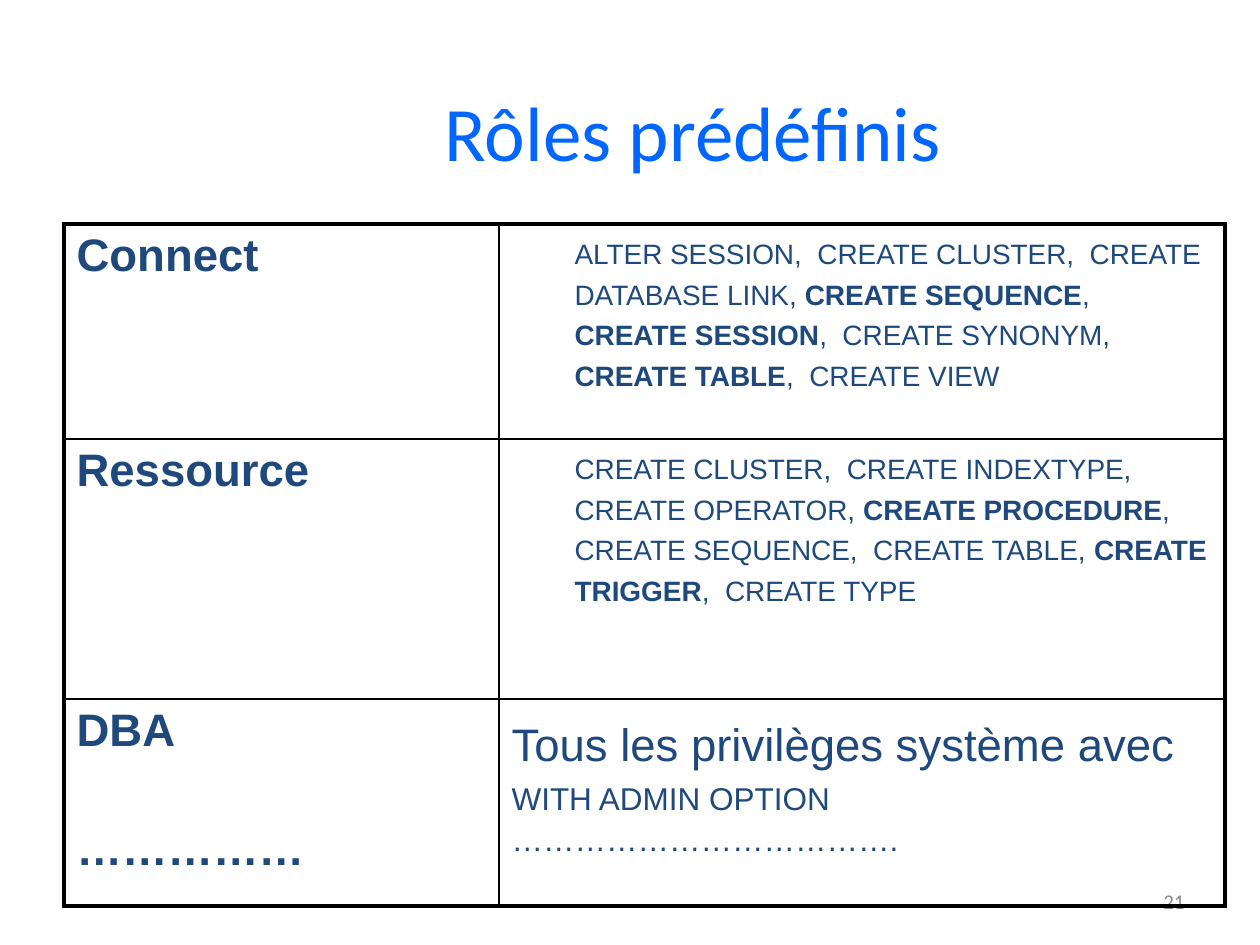
import pptx
import pptx.dml.color
import pptx.enum.text
import pptx.oxml.ns
import pptx.util
from dataclasses import dataclass
from lxml import etree

ALIGN = pptx.enum.text.PP_ALIGN
ANCHOR = pptx.enum.text.MSO_ANCHOR


@dataclass(frozen=True)
class Theme:
    title: str = "0066FF"
    body: str = "1F497D"
    muted: str = "8C8C8C"
    rule: str = "000000"
    heading_font: str = "Calibri"
    body_font: str = "Arial"
    title_size: int = 44
    role_size: int = 26
    option_size: int = 18
    privilege_size: int = 16
    number_size: int = 12
    outer_rule: float = 2.25
    inner_rule: float = 1


THEME = Theme()
COLUMN_WIDTHS = (435, 726)
ROW_HEIGHTS = (215, 260, 207)

# Privileges between asterisks are set in bold.
PRIVILEGES = {
    "Connect": "ALTER SESSION,  CREATE CLUSTER,  CREATE DATABASE LINK, "
               "*CREATE SEQUENCE*,  *CREATE SESSION*,  CREATE SYNONYM, "
               "*CREATE TABLE*,  CREATE VIEW",
    "Ressource": "CREATE CLUSTER,  CREATE INDEXTYPE,  CREATE OPERATOR, "
                 "*CREATE PROCEDURE*,  CREATE SEQUENCE,  CREATE TABLE, "
                 "*CREATE TRIGGER*,  CREATE TYPE",
}


def px(length):
    return pptx.util.Emu(round(length * 914400 / 126))


def add_run(paragraph, text, size, color=THEME.body, font=THEME.body_font, bold=False):
    run = paragraph.add_run()
    run.text = text
    run.font.size = pptx.util.Pt(size)
    run.font.name = font
    run.font.bold = bold
    run.font.color.rgb = pptx.dml.color.RGBColor.from_string(color)


def add_label(slide, text, left, top, width, height, align, **text_format):
    frame = slide.shapes.add_textbox(px(left), px(top), px(width), px(height)).text_frame
    frame.word_wrap = True
    frame.vertical_anchor = ANCHOR.MIDDLE
    frame.paragraphs[0].alignment = align
    add_run(frame.paragraphs[0], text, font=THEME.heading_font, **text_format)


def set_borders(cell, widths):
    """Draw the cell's rules; widths maps a side (L, R, T, B) to points."""
    properties = cell._tc.get_or_add_tcPr()
    for index, (side, width) in enumerate(widths.items()):
        line = etree.Element(pptx.oxml.ns.qn(f"a:ln{side}"), w=str(pptx.util.Pt(width)))
        fill = etree.SubElement(line, pptx.oxml.ns.qn("a:solidFill"))
        etree.SubElement(fill, pptx.oxml.ns.qn("a:srgbClr"), val=THEME.rule)
        properties.insert(index, line)


def add_roles_table(slide):
    rows, columns = len(ROW_HEIGHTS), len(COLUMN_WIDTHS)
    table = slide.shapes.add_table(rows, columns, px(64), px(224),
                                   px(sum(COLUMN_WIDTHS)), px(sum(ROW_HEIGHTS))).table
    table.first_row = table.horz_banding = False
    for column, width in zip(table.columns, COLUMN_WIDTHS):
        column.width = px(width)
    for row, height in zip(table.rows, ROW_HEIGHTS):
        row.height = px(height)
    outer, inner = THEME.outer_rule, THEME.inner_rule
    for r in range(rows):
        for c in range(columns):
            cell = table.cell(r, c)
            cell.fill.background()
            set_borders(cell, {"L": outer if c == 0 else inner,
                               "R": outer if c == columns - 1 else inner,
                               "T": outer if r == 0 else inner,
                               "B": outer if r == rows - 1 else inner})
    return table


def write_role(cell, role):
    add_run(cell.text_frame.paragraphs[0], role, THEME.role_size, bold=True)


def write_privileges(cell, privileges):
    paragraph = cell.text_frame.paragraphs[0]
    paragraph.level = 1
    paragraph.line_spacing = 1.3
    properties = paragraph._p.get_or_add_pPr()
    properties.set("marL", str(px(63)))
    properties.set("indent", "0")
    for index, part in enumerate(privileges.split("*")):
        add_run(paragraph, part, THEME.privilege_size, bold=index % 2 == 1)


def add_ellipsis(cell, text, space_before, **text_format):
    paragraph = cell.text_frame.add_paragraph()
    paragraph.space_before = pptx.util.Pt(space_before)
    add_run(paragraph, text, **text_format)


def write_administrator(role_cell, privilege_cell):
    write_role(role_cell, "DBA")
    add_ellipsis(role_cell, "……………", 39, size=THEME.role_size, bold=True)
    summary = privilege_cell.text_frame.paragraphs[0]
    summary.line_spacing = 1.3
    add_run(summary, "Tous les privilèges système avec ", THEME.role_size)
    add_run(summary, "WITH ADMIN OPTION", THEME.option_size)
    add_ellipsis(privilege_cell, "……………………………….", 3, size=THEME.option_size)


def main():
    presentation = pptx.Presentation()
    presentation.slide_width, presentation.slide_height = px(1260), px(945)
    slide = presentation.slides.add_slide(presentation.slide_layouts[6])
    add_label(slide, "21", 903, 876, 294, 50, ALIGN.RIGHT,
              size=THEME.number_size, color=THEME.muted)
    add_label(slide, "Rôles prédéfinis", 210, 26, 966, 210, ALIGN.CENTER,
              size=THEME.title_size, color=THEME.title)
    table = add_roles_table(slide)
    for row, (role, privileges) in enumerate(PRIVILEGES.items()):
        write_role(table.cell(row, 0), role)
        write_privileges(table.cell(row, 1), privileges)
    write_administrator(table.cell(2, 0), table.cell(2, 1))
    presentation.save("out.pptx")


if __name__ == "__main__":
    main()
